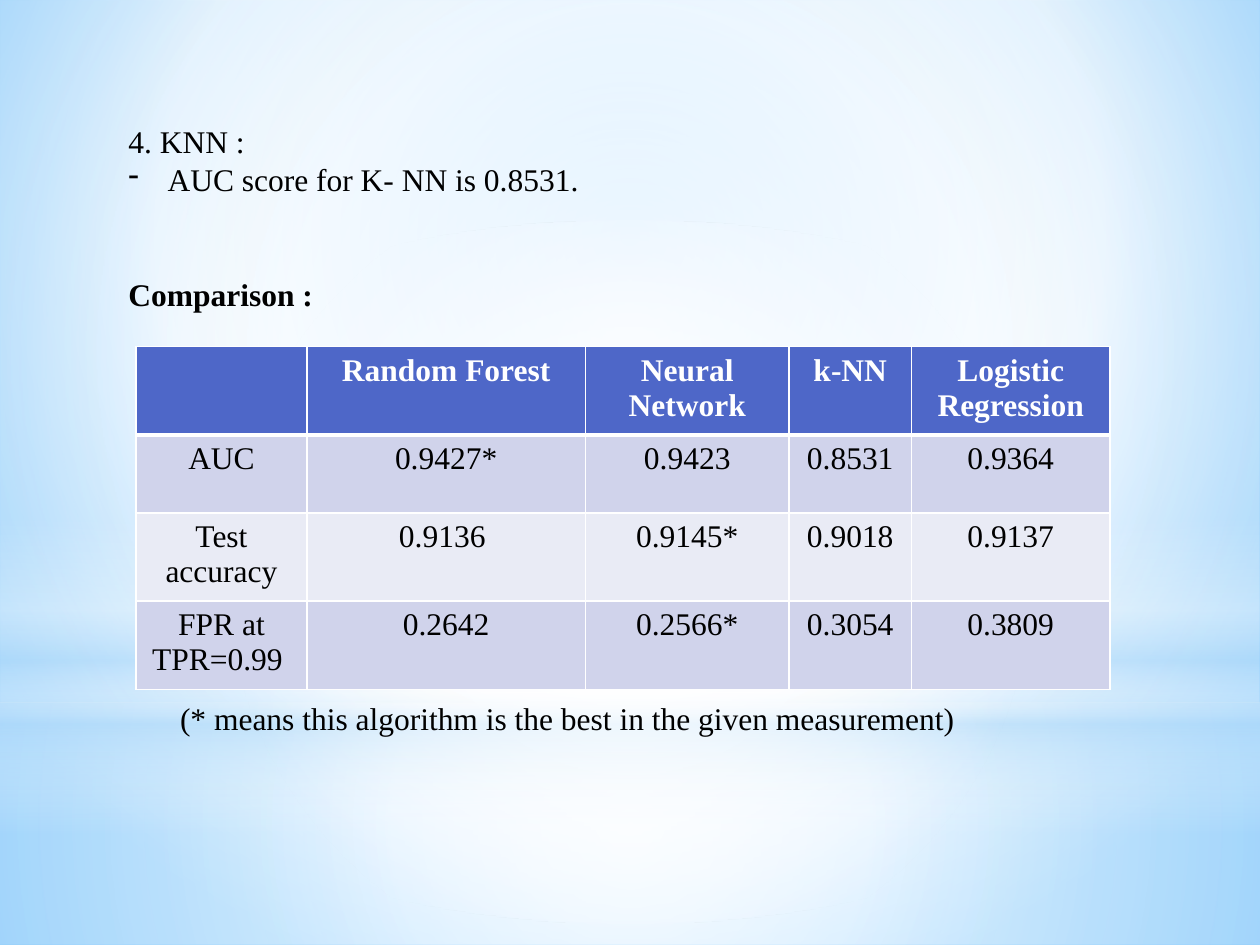
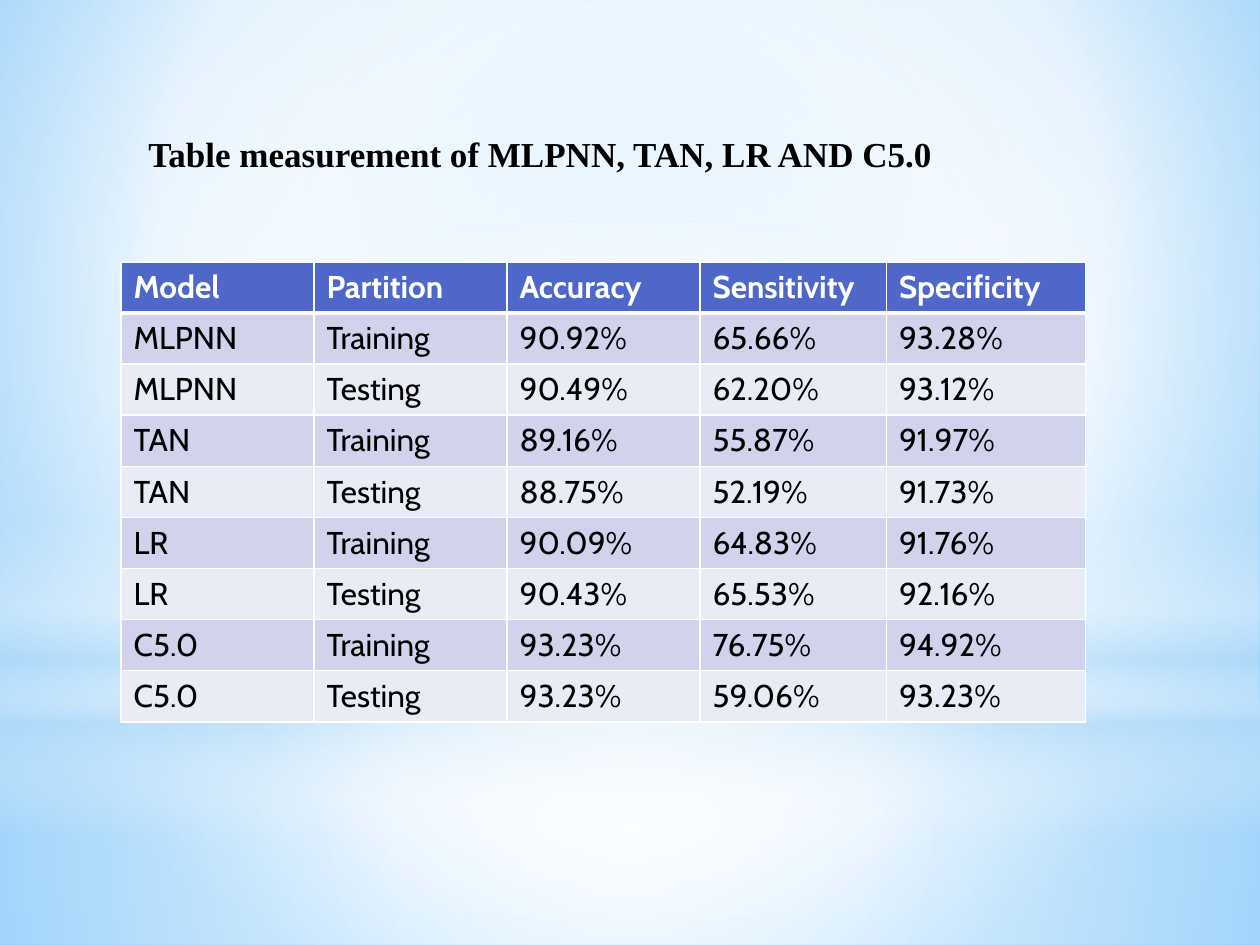
from lxml import etree
from pptx import Presentation
from pptx.dml.color import RGBColor
from pptx.enum import shapes, text
from pptx.oxml import ns
from pptx.util import Cm, Pt

SERIF, SANS = "Times New Roman", "Cabin"
BLACK, WHITE, SKY = "000000", "FFFFFF", "B4DCFA"
HEAD, BANDS = "4E67C8", ("D0D3EB", "E9EBF5")


def hue(code):
    """Turn a hex string into a colour."""
    return RGBColor.from_string(code)


def write(para, words, size=18, face=SERIF, code=BLACK, bold=False):
    """Put words in a paragraph and set its font."""
    para.text = words
    font = para.font
    font.size, font.name, font.bold = Pt(size), face, bold
    font.color.rgb = hue(code)


deck = Presentation()
deck.slide_width, deck.slide_height = Cm(25.4), Cm(19.05)
master, blank = deck.slide_master, deck.slide_layouts[6]
first, second = [deck.slides.add_slide(blank) for _ in range(2)]

# Shared backdrop, kept on the master: box, kind, stops (place, colour, alpha), focus
rect, oval = shapes.MSO_SHAPE.RECTANGLE, shapes.MSO_SHAPE.OVAL
centre = (50, 50, 50, 50)
layers = [
    (None, None, [(0, "9ED5FF", 100), (60, WHITE, 100), (100, "5BB9FF", 100)],
     (20, 10, 20, 60)),
    ((14.17, 4.88), rect, [(0, WHITE, 91), (37, WHITE, 76), (100, SKY, 79)], centre),
    ((0, 14.17), rect, [(0, WHITE, 89), (48, WHITE, 62), (100, SKY, 79)], centre),
    ((10.46, 6.35), rect, [(0, WHITE, 0), (29, WHITE, 30), (45, SKY, 40),
                           (55, WHITE, 26), (65, SKY, 60), (100, WHITE, 0)], None),
    ((4.45, 14.17), oval, [(0, WHITE, 100), (56, WHITE, 0)], centre),
]
for rank, (span, kind, stops, focus) in enumerate(layers):
    if span:
        top, high = span
        shape = first.shapes.add_shape(kind, 0, Cm(top), deck.slide_width, Cm(high))
        shape.shadow.inherit = False
        shape.line.fill.background()
        shape.fill.solid()
        node = shape.element
        node.nvSpPr.cNvPr.set("id", str(20 + rank))
        master.shapes.element.insert(1 + rank, node)
    else:
        master.background.fill.solid()
        node = master.element
    plain = node.find(".//" + ns.qn("a:solidFill"))
    grad = etree.Element(ns.qn("a:gradFill"), rotWithShape="1")
    row = etree.SubElement(grad, ns.qn("a:gsLst"))
    for place, code, alpha in stops:
        stop = etree.SubElement(row, ns.qn("a:gs"), pos=str(place * 1000))
        tone = etree.SubElement(stop, ns.qn("a:srgbClr"), val=code)
        etree.SubElement(tone, ns.qn("a:alpha"), val=str(alpha * 1000))
    if focus:
        round_ = etree.SubElement(grad, ns.qn("a:path"), path="circle")
        sides = {side: str(part * 1000) for side, part in zip("ltrb", focus)}
        etree.SubElement(round_, ns.qn("a:fillToRect"), **sides)
    else:
        etree.SubElement(grad, ns.qn("a:lin"), ang="5400000", scaled="0")
    plain.getparent().replace(plain, grad)

# Text boxes: slide, box, lines (words, size, bold, space before, bullet)
notes = [
    (first, (2.34, 2.34, 20.32, 4.88), [
        ("4. KNN : ", 18, False, 0, None),
        ("AUC score for K- NN is 0.8531.", 18, False, 0, "-"),
        ("Comparison : ", 18, True, 44, None)]),
    (first, (3.38, 13.97, 18.85, 1.02), [
        ("(* means this algorithm is the best in the given measurement)",
         18, False, 0, None)]),
    (second, (2.74, 2.54, 18.85, 1.96), [
        ("Table measurement of MLPNN, TAN, LR AND C5.0", 20, True, 0, None)]),
]
for slide, box, lines in notes:
    frame = slide.shapes.add_textbox(*map(Cm, box)).text_frame
    frame.word_wrap = True
    for rank, (words, size, bold, gap, mark) in enumerate(lines):
        para = frame.add_paragraph() if rank else frame.paragraphs[0]
        write(para, words, size, bold=bold)
        para.space_before = Pt(gap)
        if mark:
            props = para._p.get_or_add_pPr()
            props.set("marL", str(Cm(0.79)))
            props.set("indent", str(-Cm(0.79)))
            bullet = etree.Element(ns.qn("a:buChar"), char=mark)
            props.find(ns.qn("a:spcBef")).addnext(bullet)

# Tables: slide, corner, column widths, row height, font, alignment, rows
scores = [
    ("", "Random Forest", "Neural Network", "k-NN", "Logistic Regression"),
    ("AUC", "0.9427*", "0.9423", "0.8531", "0.9364"),
    ("Test accuracy", "0.9136 ", "0.9145*", "0.9018", "0.9137"),
    ("FPR at TPR=0.99 ", "0.2642", "0.2566*", "0.3054", "0.3809"),
]
rates = [
    ("Model", "Partition", "Accuracy", "Sensitivity", "Specificity"),
    ("MLPNN", "Training", "90.92%", "65.66%", "93.28%"),
    ("MLPNN", "Testing", "90.49%", "62.20%", "93.12%"),
    ("TAN", "Training", "89.16%", "55.87%", "91.97%"),
    ("TAN", "Testing", "88.75%", "52.19%", "91.73%"),
    ("LR", "Training", "90.09%", "64.83%", "91.76%"),
    ("LR", "Testing", "90.43%", "65.53%", "92.16%"),
    ("C5.0", "Training", "93.23%", "76.75%", "94.92%"),
    ("C5.0", "Testing", "93.23%", "59.06%", "93.23%"),
]
tables = [
    (first, (2.74, 6.99), (3.45, 5.61, 4.11, 2.46, 4.01), 1.57, SERIF,
     text.PP_ALIGN.CENTER, scores),
    (second, (2.44, 5.28), (3.89, 3.89, 3.89, 3.76, 4.01), 1.03, SANS,
     text.PP_ALIGN.LEFT, rates),
]
for slide, (left, top), widths, high, face, align, rows in tables:
    grid = slide.shapes.add_table(
        len(rows), len(widths), Cm(left), Cm(top),
        Cm(sum(widths)), Cm(high * len(rows))).table
    for col, wide in zip(grid.columns, widths):
        col.width = Cm(wide)
    for r, row in enumerate(rows):
        grid.rows[r].height = Cm(high)
        for c, words in enumerate(row):
            cell = grid.cell(r, c)
            para = cell.text_frame.paragraphs[0]
            write(para, words, 18, face, BLACK if r else WHITE, r == 0)
            para.alignment = align
            cell.fill.solid()
            cell.fill.fore_color.rgb = hue(BANDS[(r - 1) % 2] if r else HEAD)
            props = cell._tc.get_or_add_tcPr()
            for rank, side in enumerate("LRTB"):
                thick = (r, side) in ((0, "B"), (1, "T"))
                edge = etree.Element(ns.qn("a:ln" + side), w=str(Pt(3 if thick else 1)))
                ink = etree.SubElement(edge, ns.qn("a:solidFill"))
                etree.SubElement(ink, ns.qn("a:srgbClr"), val=WHITE)
                props.insert(rank, edge)

deck.save("out.pptx")
